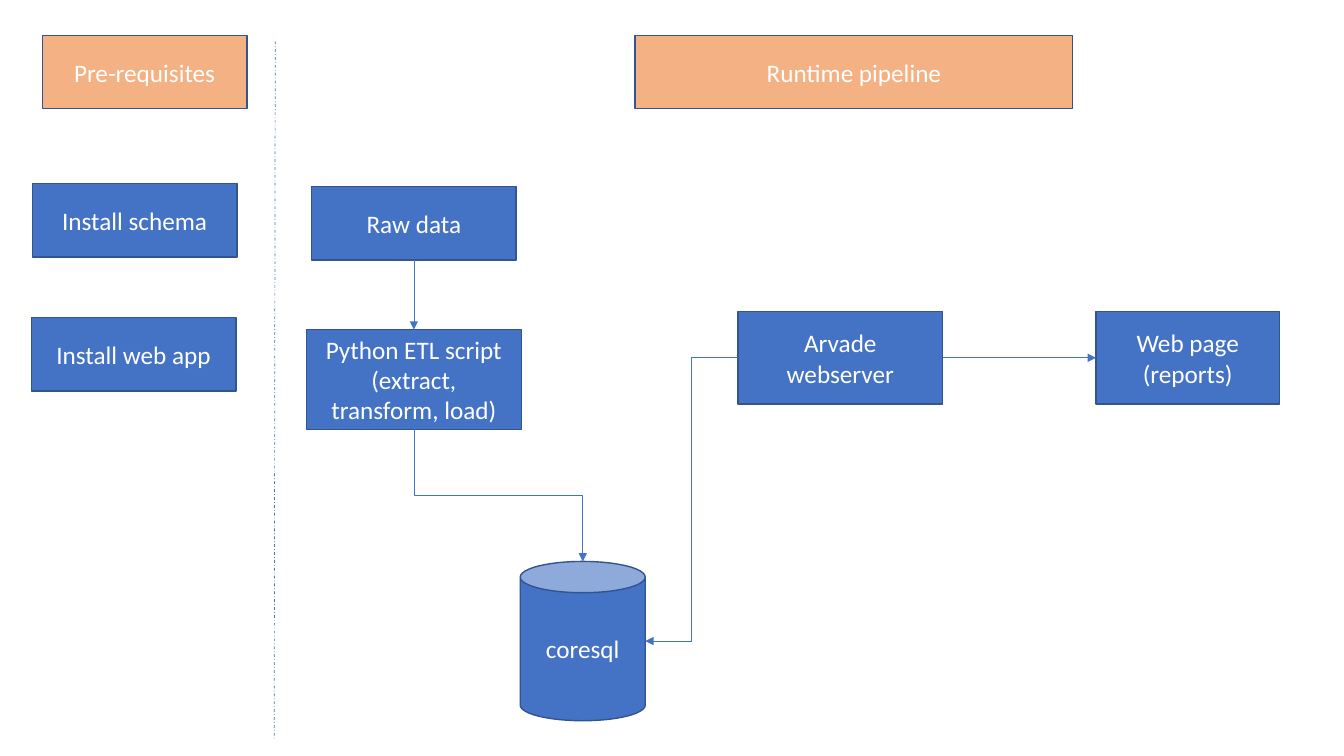
from lxml.etree import SubElement as Sub
from pptx import Presentation
from pptx.dml.color import RGBColor as Rgb
from pptx.enum.dml import MSO_LINE as Dash
from pptx.enum.shapes import MSO_CONNECTOR as Link, MSO_SHAPE as Form
from pptx.enum.text import MSO_ANCHOR as Anchor, PP_ALIGN as Align
from pptx.oxml.ns import qn
from pptx.util import Inches, Pt

WIDE, HIGH = 13.33, 7.5
THEME = {
    "step": "4472C4", "head": "F4B183", "edge": "325491", "text": "FFFFFF",
    "font": "Calibri", "size": 18, "rim": 1, "thin": 0.5,
}

CARD = (2.03, 0.73)
PAGE = 0.92
TOP, ROW = 0.35, 3.09

BOXES = {
    "raw": ("Raw data", 3.09, 1.85, *CARD),
    "etl": ("Python ETL script\n(extract, transform, load)", 3.04, 3.27, 2.13, 0.99),
    "store": ("coresql", 5.16, 5.57, 1.24, 1.58),
    "server": ("Arvade\nwebserver", 7.32, ROW, CARD[0], PAGE),
    "report": ("Web page\n(reports)", 10.87, ROW, 1.82, PAGE),
    "schema": ("Install schema", 0.32, 1.82, *CARD),
    "app": ("Install web app", 0.31, 3.15, *CARD),
    "prep": ("Pre-requisites", 0.42, TOP, *CARD),
    "run": ("Runtime pipeline", 6.3, TOP, 4.34, CARD[1]),
}
HEADS = {"prep", "run"}
FLOWS = [
    ("raw", "bottom", "etl", "top", "straight"),
    ("server", "right", "report", "left", "straight"),
    ("etl", "bottom", "store", "top", "down"),
    ("server", "left", "store", "right", "across"),
]
SPLIT = ((2.73, 0.41), (2.72, 7.33))
SIDES = {"top": (0.5, 0), "bottom": (0.5, 1), "left": (0, 0.5), "right": (1, 0.5)}


def apply(item, form):
    for name, value in form.items():
        setattr(item, name, value)


def tint(name):
    return Rgb.from_string(THEME[name])


def draw_box(key):
    text, *place = BOXES[key]
    form = Form.CAN if key == "store" else Form.RECTANGLE
    box = slide.shapes.add_shape(form, *map(Inches, place))
    box.shadow.inherit = False
    box.fill.solid()
    box.fill.fore_color.rgb = tint("head" if key in HEADS else "step")
    box.line.color.rgb = tint("edge")
    box.line.width = Pt(THEME["rim"])
    frame = box.text_frame
    apply(frame, {"text": text, "word_wrap": True, "vertical_anchor": Anchor.MIDDLE})
    for para in frame.paragraphs:
        para.alignment = Align.CENTER
        apply(para.font, {"name": THEME["font"], "size": Pt(THEME["size"])})
        para.font.color.rgb = tint("text")


def site(key, side):
    _, left, top, width, height = BOXES[key]
    across, down = SIDES[side]
    return left + across * width, top + down * height


def draw_line(start, end, kind="straight", dash=None):
    (x1, y1), (x2, y2) = start, end
    if kind == "down":
        mid_x, mid_y = (x1 + x2) / 2, (y1 + y2) / 2
        half_x, half_y = (x2 - x1) / 2, (y2 - y1) / 2
        x1, x2 = mid_x + half_y, mid_x - half_y
        y1, y2 = mid_y - half_x, mid_y + half_x
    form = Link.STRAIGHT if kind == "straight" else Link.ELBOW
    link = slide.shapes.add_connector(form, *map(Inches, (x1, y1, x2, y2)))
    link.line.color.rgb = tint("step")
    link.line.width = Pt(THEME["thin"])
    props = link._element.spPr
    if kind == "down":
        props.find(qn("a:xfrm")).set("rot", str(270 * 60000))
    if dash:
        link.line.dash_style = dash
    else:
        Sub(props.find(qn("a:ln")), qn("a:tailEnd"), type="triangle")
    Sub(props, qn("a:effectLst"))


deck = Presentation()
apply(deck, {"slide_width": Inches(WIDE), "slide_height": Inches(HIGH)})
slide = deck.slides.add_slide(deck.slide_layouts[6])
for key in BOXES:
    draw_box(key)
for source, out, target, into, kind in FLOWS:
    draw_line(site(source, out), site(target, into), kind)
draw_line(*SPLIT, dash=Dash.DASH_DOT)
deck.save("out.pptx")
